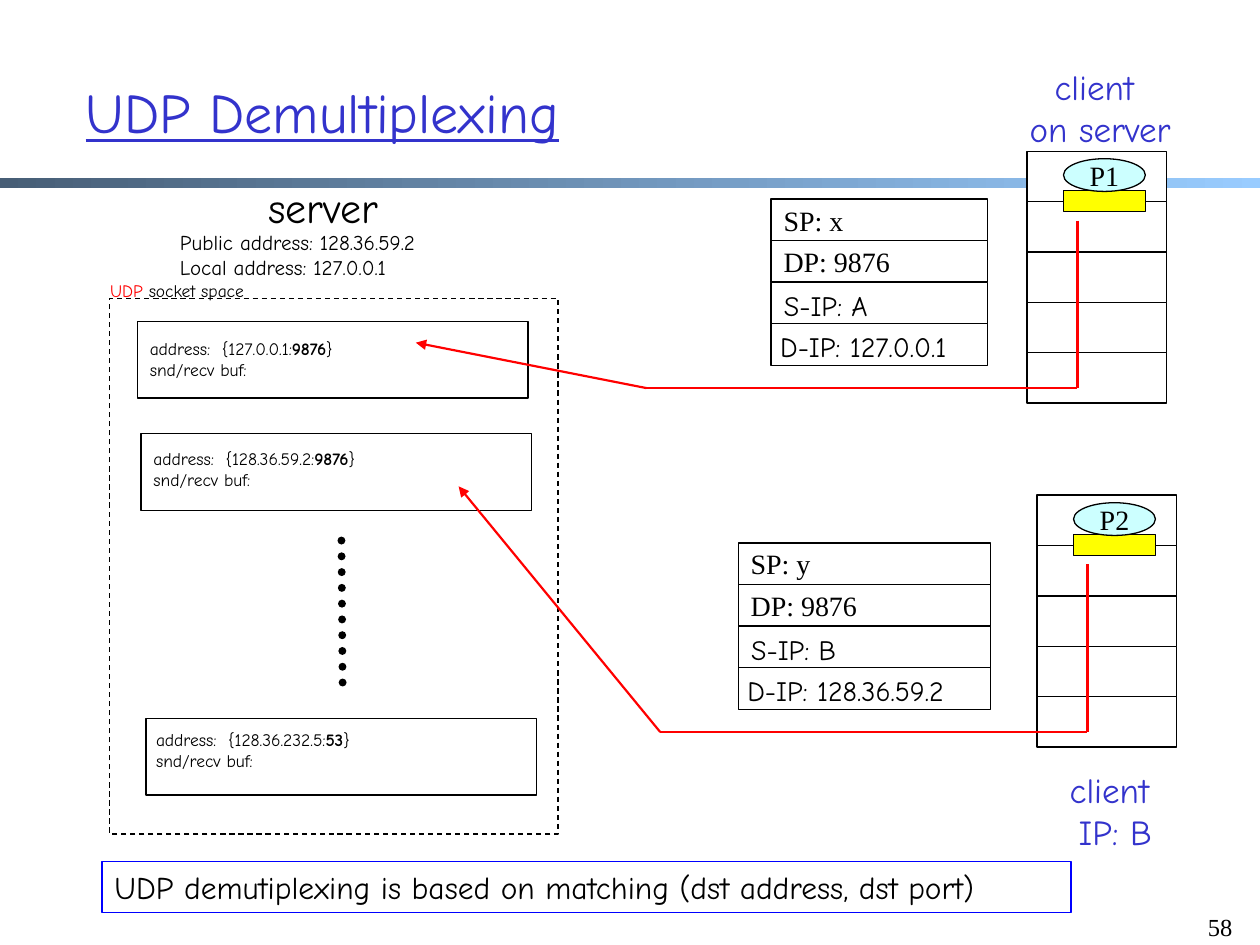
from dataclasses import dataclass

from lxml import etree
from pptx import Presentation
from pptx import util as u
from pptx.dml.color import RGBColor
from pptx.enum import dml, shapes, text
from pptx.oxml import ns

COLORS = {
    "ink": "000000", "paper": "FFFFFF", "accent": "3333CC", "red": "FF0000",
    "blue": "0000FF", "socket": "FFFF00", "process": "CCFFFF",
    "bar_start": "475E76", "bar_end": "99CCFF",
}
HAND, SERIF = "Comic Neue", "Times New Roman"
RECT, OVAL = shapes.MSO_SHAPE.RECTANGLE, shapes.MSO_SHAPE.OVAL
LEFT, CENTER, RIGHT = text.PP_ALIGN.LEFT, text.PP_ALIGN.CENTER, text.PP_ALIGN.RIGHT
TOP, MIDDLE = text.MSO_ANCHOR.TOP, text.MSO_ANCHOR.MIDDLE
FIT, FIXED = text.MSO_AUTO_SIZE.SHAPE_TO_FIT_TEXT, text.MSO_AUTO_SIZE.NONE
ROW_HEIGHT, ROW_PITCH = 0.33, 0.33
LAYER_HEIGHT, LAYER_PITCH = 0.4, 0.4


@dataclass
class Run:
    words: str
    color: str = "ink"
    bold: bool = False


@dataclass
class Socket:
    box: tuple
    label: tuple
    address: str
    port: str


@dataclass
class Host:
    left: float
    top: float
    process: str
    caption: tuple
    caption_at: tuple


@dataclass
class Packet:
    left: float
    top: float
    width: float
    ports: tuple
    addresses: tuple
    address_widths: tuple


@dataclass
class Route:
    target: tuple
    bend: tuple
    corner: tuple
    source: tuple


SOCKETS = [
    Socket((1.16, 5.7), (1.14, 5.74, 2, 0.43), "128.36.232.5", "53"),
    Socket((1.09, 2.55), (1.09, 2.63, 1.91, 0.44), "127.0.0.1", "9876"),
    Socket((1.12, 3.44), (1.12, 3.51, 2.1, 0.44), "128.36.59.2", "9876"),
]
HOSTS = [
    Host(8.15, 1.2, "P1", ("client", " on server"), (7.93, 0.47, 1.51, 0.77)),
    Host(8.23, 3.93, "P2", ("client", " IP: B"), (8.34, 6.05, 0.93, 0.77)),
]
PACKETS = [
    Packet(6.12, 1.58, 1.72, ("SP: x", "DP: 9876"),
           (" S-IP: A", " D-IP: 127.0.0.1"), (1.06, 1.82)),
    Packet(5.86, 4.31, 2, ("SP: y", "DP: 9876"),
           (" S-IP: B", " D-IP: 128.36.59.2"), (1.03, 2.48)),
]
ROUTES = [
    Route((3.3, 2.72), (5.13, 3.08), (8.55, 3.08), (8.55, 1.75)),
    Route((3.64, 3.86), (5.24, 5.81), (8.63, 5.81), (8.63, 4.48)),
]


def rgb(name: str) -> RGBColor:
    return RGBColor.from_string(COLORS[name])


def inches(values: tuple) -> list:
    return [u.Inches(value) for value in values]


def write(frame, lines: list, size: float, face: str = HAND, align=LEFT,
          anchor=TOP, fit=FIT, wrap: bool = False, underline: bool = False) -> None:
    settings = {"word_wrap": wrap, "auto_size": fit, "vertical_anchor": anchor}
    for name, value in settings.items():
        setattr(frame, name, value)
    for index, line in enumerate(lines):
        paragraph = frame.paragraphs[0] if index == 0 else frame.add_paragraph()
        paragraph.alignment = align
        for part in line:
            run = paragraph.add_run()
            run.text = part.words
            font_format = {"name": face, "size": u.Pt(size),
                           "bold": part.bold, "underline": underline}
            for name, value in font_format.items():
                setattr(run.font, name, value)
            run.font.color.rgb = rgb(part.color)


def add_label(slide, at: tuple, lines: list, size: float, **options) -> None:
    label = slide.shapes.add_textbox(*inches(at))
    write(label.text_frame, lines, size, **options)


def add_block(slide, at: tuple, fill: str = "", line: str = "ink", kind=RECT):
    block = slide.shapes.add_shape(kind, *inches(at))
    block.shadow.inherit = False
    if fill:
        block.fill.solid()
        block.fill.fore_color.rgb = rgb(fill)
    else:
        block.fill.background()
    block.line.color.rgb = rgb(line)
    block.line.width = u.Pt(0.75)
    return block


def add_line(slide, start: tuple, end: tuple, color: str, width: float,
             arrow: bool = False):
    line = slide.shapes.add_connector(
        shapes.MSO_CONNECTOR.STRAIGHT, *inches(start + end))
    line.line.color.rgb = rgb(color)
    line.line.width = u.Pt(width)
    if arrow:
        etree.SubElement(line.line._get_or_add_ln(), ns.qn("a:headEnd"), type="triangle")
    etree.SubElement(line._element.spPr, ns.qn("a:effectLst"))
    return line


def add_socket(slide, socket: Socket) -> None:
    add_block(slide, socket.box + (3.1, 0.61))
    address = [Run(f"address:  {{{socket.address}:"),
               Run(socket.port, bold=True), Run("}")]
    add_label(slide, socket.label, [address, [Run("snd/recv buf:")]], 10)


def add_host(slide, host: Host) -> None:
    for layer in range(5):
        add_block(slide, (host.left, host.top + layer * LAYER_PITCH, 1.11, LAYER_HEIGHT), "paper")
    add_block(slide, (host.left + 0.29, host.top + 0.31, 0.65, 0.17), "socket")
    process = add_block(slide, (host.left + 0.29, host.top + 0.06, 0.65, 0.26),
                        "process", kind=OVAL)
    write(process.text_frame, [[Run(host.process)]], 16, SERIF, CENTER, MIDDLE, FIXED)
    caption = [[Run(words, "accent")] for words in host.caption]
    add_label(slide, host.caption_at, caption, 20, align=CENTER)


def add_packet(slide, packet: Packet) -> None:
    tops = [packet.top + row * ROW_PITCH for row in range(4)]
    fields = [add_block(slide, (packet.left, top, packet.width, ROW_HEIGHT), "paper")
              for top in tops]
    for field, port in zip(fields, packet.ports):
        write(field.text_frame, [[Run(port)]], 16, SERIF, anchor=MIDDLE, fit=FIXED)
    for top, address, width, shift in zip(
            tops[2:], packet.addresses, packet.address_widths, (0.07, 0.1)):
        add_label(slide, (packet.left - shift, top, width, 0.37), [[Run(address)]], 16)


def add_route(slide, route: Route) -> None:
    add_line(slide, route.target, route.bend, "red", 1.25, arrow=True)
    add_line(slide, route.source, route.corner, "red", 1.5)
    add_line(slide, route.bend, route.corner, "red", 1.5)


def main() -> None:
    deck = Presentation()
    deck.slide_width, deck.slide_height = u.Inches(10), u.Inches(7.5)
    slide = deck.slides.add_slide(deck.slide_layouts[5])

    bar = add_block(slide, (0, 1.41, 10, 0.08), "bar_start")
    bar.line.fill.background()
    bar.fill.gradient()
    bar.fill.gradient_angle = 0
    for stop, color, position in zip(bar.fill.gradient_stops, ("bar_start", "bar_end"), (0, 1)):
        stop.color.rgb = rgb(color)
        stop.position = position

    title = slide.shapes.title
    for name, value in zip(("left", "top", "width", "height"), inches((0.58, 0.26, 9.04, 1.25))):
        setattr(title, name, value)
    write(title.text_frame, [[Run("UDP Demultiplexing", "accent")]], 32,
          anchor=MIDDLE, fit=FIXED, wrap=True, underline=True)
    add_label(slide, (9.38, 7.19, 0.5, 0.5), [[Run("58")]], 14,
              face=SERIF, align=RIGHT, fit=FIXED, wrap=True)

    add_label(slide, (1.96, 1.39, 1.21, 0.5), [[Run("server")]], 24, align=CENTER, anchor=MIDDLE)
    socket_space = add_block(slide, (0.87, 2.37, 3.56, 4.25))
    socket_space.line.dash_style = dml.MSO_LINE.DASH
    add_label(slide, (0.73, 2.17, 1.35, 0.27),
              [[Run("UDP", "red"), Run(" socket space")]], 10, align=CENTER)
    add_label(slide, (1.33, 1.77, 2.35, 0.51),
              [[Run("Public address: 128.36.59.2")], [Run("Local address: 127.0.0.1")]], 12)
    for socket in SOCKETS:
        add_socket(slide, socket)
    more_sockets = add_line(slide, (2.71, 4.29), (2.72, 5.49), "ink", 4.5)
    more_sockets.line.dash_style = dml.MSO_LINE.ROUND_DOT
    more_sockets.line._get_or_add_ln().set("cap", "rnd")

    rule = add_block(slide, (0.81, 6.84, 7.69, 0.4), line="blue")
    write(rule.text_frame,
          [[Run("UDP demutiplexing is based on matching (dst address, dst port)")]], 18)

    for host, packet, route in zip(HOSTS, PACKETS, ROUTES):
        add_host(slide, host)
        add_packet(slide, packet)
        add_route(slide, route)
    deck.save("out.pptx")


if __name__ == "__main__":
    main()
